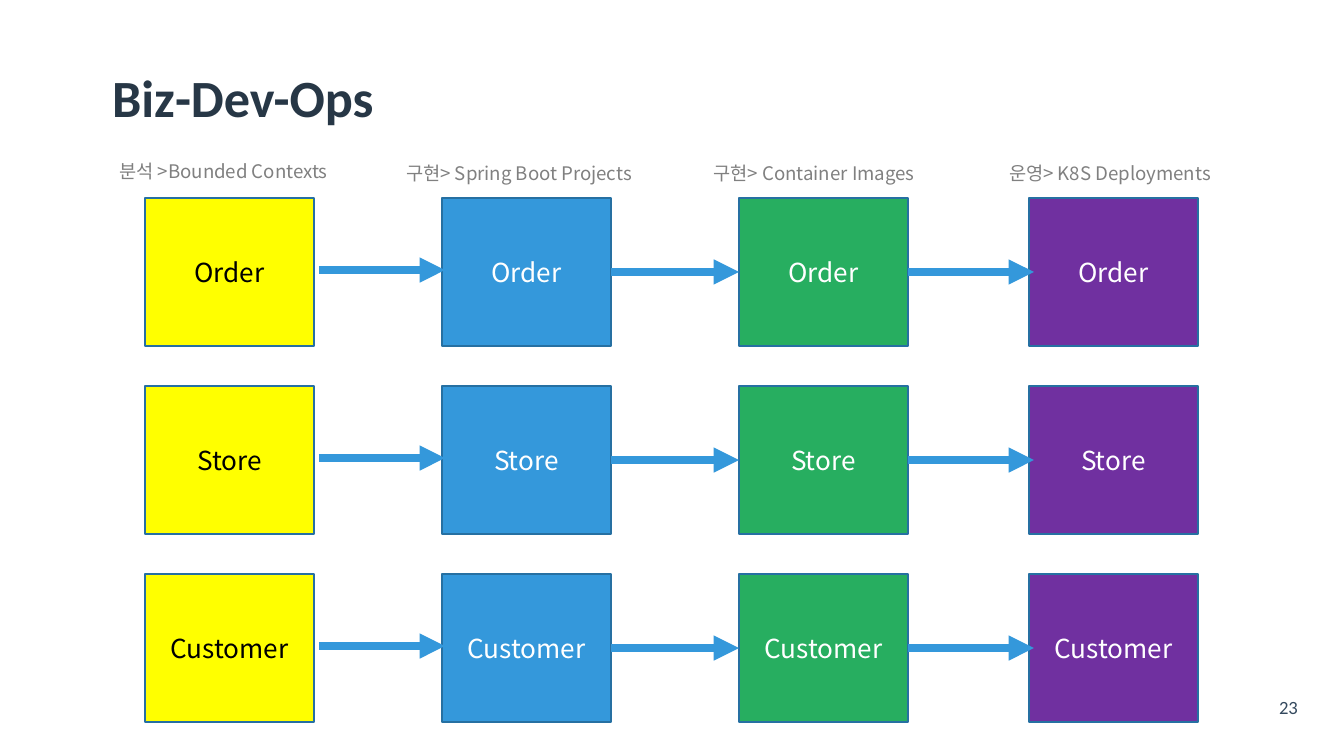
from lxml import etree
from pptx import Presentation
from pptx import util as u
from pptx.dml.color import RGBColor
from pptx.enum import shapes, text
from pptx.oxml.ns import qn

PX = 6804
HUES = {
    "title": "273746", "page": "34495E", "label": "808080", "edge": "2670A2",
    "arrow": "3498DB", "yellow": "FFFF00", "blue": "3498DB",
    "green": "27AE60", "purple": "7030A0", "black": "000000", "white": "FFFFFF",
}
SANS, CJK = "Calibri", "Noto Sans CJK KR"
LEFT, MID = text.PP_ALIGN.LEFT, text.PP_ALIGN.CENTER
TOP, HALF = text.MSO_ANCHOR.TOP, text.MSO_ANCHOR.MIDDLE
NAMES = ["Order", "Store", "Customer"]
WIDE, HIGH, FIRST, STEP = 169, 148, 198, 188
STAGES = [
    (145, "yellow", "black", "분석 >Bounded Contexts", 93, 276, LEFT),
    (442, "blue", "white", "구현> Spring Boot Projects", 366, 306, MID),
    (739, "green", "white", "구현> Container Images", 661, 306, MID),
    (1029, "purple", "white", "운영> K8S Deployments", 957, 306, MID),
]


def px(*vals):
    """Turn pixels into EMU."""
    return [u.Emu(v * PX) for v in vals]


def hue(key):
    """Look up a colour by name."""
    return RGBColor.from_string(HUES[key])


def write(shape, words, size, key, font=CJK, align=MID, anchor=HALF, bold=False):
    """Put one styled paragraph in a shape."""
    frame = shape.text_frame
    frame.word_wrap = True
    frame.vertical_anchor = anchor
    frame.text = words
    para = frame.paragraphs[0]
    para.alignment = align
    run = para.runs[0]
    run.font.size = u.Pt(size)
    run.font.bold = bold
    run.font.color.rgb = hue(key)
    run.font.name = font
    etree.SubElement(run.font._element, qn("a:ea"), typeface=font)
    return para


def add_title(slide):
    """Add the slide title."""
    box = slide.shapes.add_textbox(*px(99, 60, 1152, 81))
    para = write(box, "Biz-Dev-Ops", 28, "title", SANS, LEFT, bold=True)
    para.line_spacing = 0.9


def add_page(slide):
    """Add the page number."""
    box = slide.shapes.add_textbox(*px(1251, 700, 75, 35))
    frame = box.text_frame
    frame.margin_left = frame.margin_right = u.Inches(0.15)
    frame.margin_top = frame.margin_bottom = u.Inches(0.07)
    write(box, "23", 10, "page", SANS, anchor=TOP).line_spacing = 0.5


def add_label(slide, words, left, width, align):
    """Add an unfilled stage frame with its heading."""
    kind = shapes.MSO_SHAPE.ROUNDED_RECTANGLE
    frame = slide.shapes.add_shape(kind, *px(left, 140, width, 598))
    frame.shadow.inherit = False
    frame.fill.background()
    frame.line.fill.background()
    write(frame, words, 10, "label", align=align, anchor=TOP)


def add_box(slide, left, top, name, fill, ink):
    """Add one service box."""
    box = slide.shapes.add_shape(shapes.MSO_SHAPE.RECTANGLE, *px(left, top, WIDE, HIGH))
    box.shadow.inherit = False
    box.fill.solid()
    box.fill.fore_color.rgb = hue(fill)
    box.line.color.rgb = hue("edge")
    box.line.width = u.Pt(1)
    write(box, name, 14, ink)
    return box


def add_arrow(slide, start, end, y):
    """Add a level arrow."""
    line = slide.shapes.add_connector(shapes.MSO_CONNECTOR.STRAIGHT, *px(start, y, end, y))
    line.line.color.rgb = hue("arrow")
    line.line.width = u.Pt(4.5)
    etree.SubElement(line.line._get_or_add_ln(), qn("a:tailEnd"), type="triangle")
    etree.SubElement(line._element.spPr, qn("a:effectLst"))
    return line


def add_row(slide, top, name):
    """Add the boxes of one service and the arrows between them."""
    boxes = [add_box(slide, left, top, name, fill, ink)
             for left, fill, ink, *_ in STAGES]
    y = top + HIGH // 2
    add_arrow(slide, 319, 445, y - 2)
    mid = add_arrow(slide, 611, 739, y)
    mid.begin_connect(boxes[1], 3)
    mid.end_connect(boxes[2], 1)
    last = add_arrow(slide, 908, 1034, y)
    last.begin_connect(boxes[2], 3)


def main():
    """Build and save the slide."""
    deck = Presentation()
    deck.slide_width, deck.slide_height = px(1344, 756)
    slide = deck.slides.add_slide(deck.slide_layouts[6])
    add_page(slide)
    add_title(slide)
    for *_, words, left, width, align in STAGES:
        add_label(slide, words, left, width, align)
    for row, name in enumerate(NAMES):
        add_row(slide, FIRST + row * STEP, name)
    deck.save("out.pptx")


if __name__ == "__main__":
    main()
